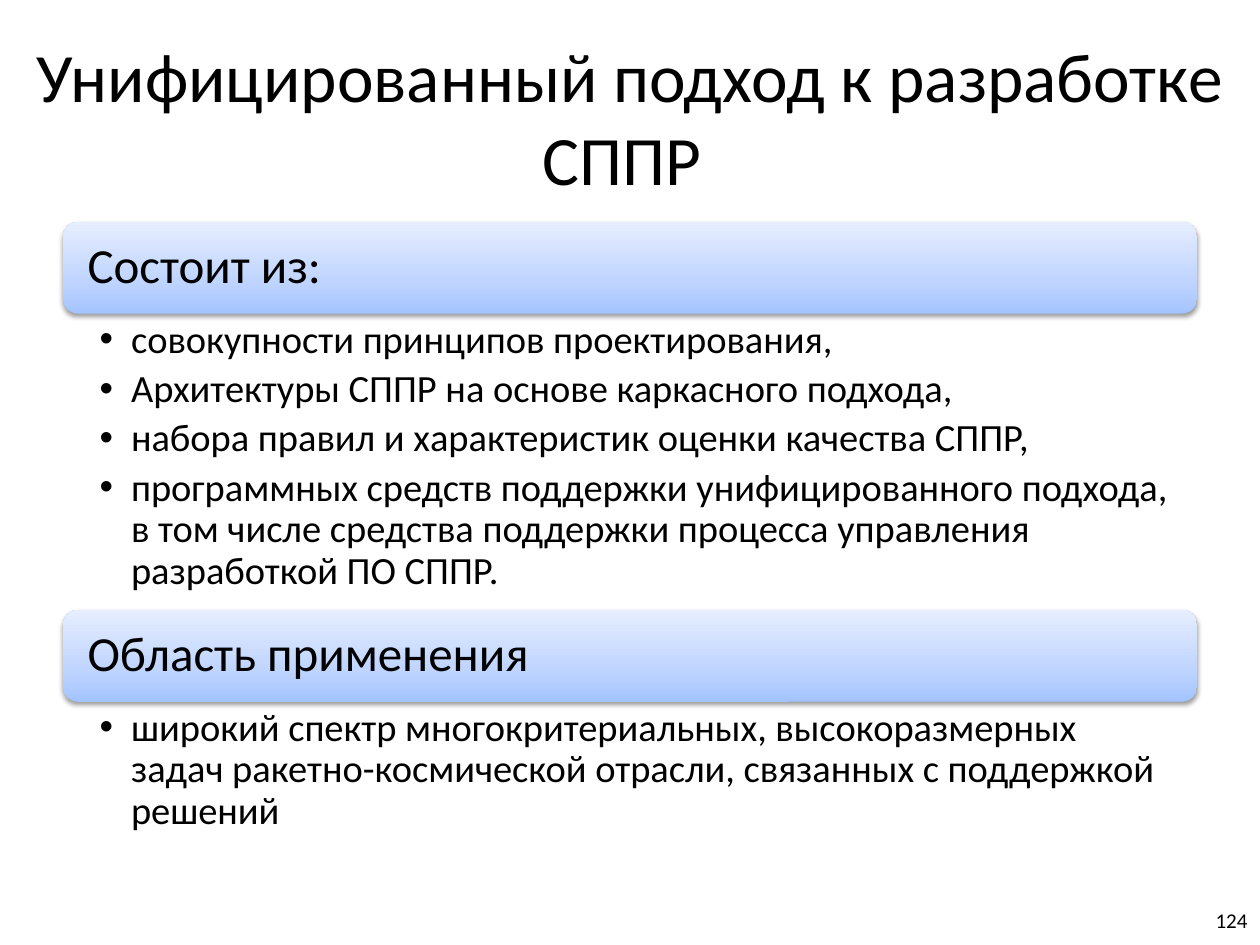
from copy import deepcopy

from lxml import etree
from pptx import Presentation
from pptx.dml.color import RGBColor
from pptx.enum.shapes import MSO_SHAPE
from pptx.enum.text import MSO_ANCHOR, MSO_AUTO_SIZE, PP_ALIGN
from pptx.oxml.ns import qn
from pptx.util import Inches, Pt

ROUND = MSO_SHAPE.ROUNDED_RECTANGLE
MIDDLE, TOP = MSO_ANCHOR.MIDDLE, MSO_ANCHOR.TOP
LEFT, CENTER, RIGHT = PP_ALIGN.LEFT, PP_ALIGN.CENTER, PP_ALIGN.RIGHT
FIXED = MSO_AUTO_SIZE.NONE

BLACK = RGBColor(0x00, 0x00, 0x00)
STOPS = [
    (0, RGBColor(0xA4, 0xC4, 0xFF)),
    (0.35, RGBColor(0xBF, 0xD4, 0xFF)),
    (1, RGBColor(0xE6, 0xEE, 0xFF)),
]
FONT = "Calibri"
EDGE, WIDTH, BAR = 0.5, 9, 0.73

TITLE = "Унифицированный подход к разработке СППР "
# Heading, bar top, list height, list items
PARTS = [
    ("Состоит из:", 1.76, 2.35, [
        "совокупности принципов проектирования,",
        "Архитектуры СППР на основе каркасного подхода,",
        "набора правил и характеристик оценки качества СППР,",
        "программных средств поддержки унифицированного подхода, "
        "в том числе средства поддержки процесса управления "
        "разработкой ПО СППР.",
    ]),
    ("Область применения", 4.84, 1.11, [
        "широкий спектр многокритериальных, высокоразмерных задач "
        "ракетно-космической отрасли, связанных с поддержкой решений",
    ]),
]


def place(shape, left, top, width, height):
    shape.left, shape.top = Inches(left), Inches(top)
    shape.width, shape.height = Inches(width), Inches(height)


def style(frame, size, align, anchor):
    frame.word_wrap = True
    frame.auto_size = FIXED
    frame.vertical_anchor = anchor
    for para in frame.paragraphs:
        para.alignment = align
        for run in para.runs:
            run.font.size = Pt(size)
            run.font.name = FONT
            run.font.color.rgb = BLACK


def inset(frame, left, top, right, bottom):
    frame.margin_left, frame.margin_top = Inches(left), Inches(top)
    frame.margin_right, frame.margin_bottom = Inches(right), Inches(bottom)


def shade(shape):
    """Fill with the three-stop gradient, darkest at the bottom."""
    fill = shape.fill
    fill.gradient()
    fill.gradient_angle = 90
    stops = shape._element.spPr.find(".//" + qn("a:gsLst"))
    stops.insert(1, deepcopy(stops[0]))
    for stop, (pos, color) in zip(fill.gradient_stops, STOPS):
        stop.position = pos
        stop.color.rgb = color


def cast(shape):
    """Add a soft shadow below the shape."""
    shape.shadow.inherit = False
    effects = shape._element.spPr.find(qn("a:effectLst"))
    outer = etree.SubElement(
        effects, qn("a:outerShdw"), blurRad=str(Pt(3.1)),
        dist=str(Pt(1.6)), dir="5400000", rotWithShape="0")
    color = etree.SubElement(outer, qn("a:srgbClr"), val="000000")
    etree.SubElement(color, qn("a:alpha"), val="38000")


def add_bar(slide, text, top):
    bar = slide.shapes.add_shape(
        ROUND, Inches(EDGE), Inches(top), Inches(WIDTH), Inches(BAR))
    shade(bar)
    bar.line.fill.background()
    cast(bar)
    frame = bar.text_frame
    frame.text = text
    inset(frame, 0.16, 0.12, 0.16, 0.12)
    style(frame, 28, LEFT, MIDDLE)
    frame.paragraphs[0].line_spacing = 0.9


def fill_list(holder, items, top, height):
    place(holder, EDGE, top, WIDTH, height)
    frame = holder.text_frame
    frame.text = "\n".join(items)
    inset(frame, 0.29, 0.04, 0.22, 0.04)
    for para in frame.paragraphs:
        props = para._p.get_or_add_pPr()
        props.set("marL", str(Inches(0.25)))
        props.set("indent", str(Inches(-0.25)))
        etree.SubElement(props, qn("a:buChar"), char="•")
        para.line_spacing = 0.9
        para.space_before = Pt(0)
        para.space_after = Pt(4.4)
    style(frame, 22, LEFT, TOP)


def add_number(slide, text):
    box = slide.shapes.add_textbox(
        Inches(7.67), Inches(7.1), Inches(2.33), Inches(0.4))
    box.text_frame.text = text
    style(box.text_frame, 12, RIGHT, MIDDLE)


def main():
    deck = Presentation()
    deck.slide_width, deck.slide_height = Inches(10), Inches(7.5)
    slide = deck.slides.add_slide(deck.slide_layouts[3])

    # Title
    title = slide.shapes.title
    place(title, 0, 0.3, 10, 1.25)
    title.text_frame.text = TITLE
    style(title.text_frame, 39.6, CENTER, MIDDLE)

    # Heading bars, each with its list below
    for idx, (head, top, height, items) in enumerate(PARTS, 1):
        add_bar(slide, head, top)
        fill_list(slide.placeholders[idx], items, top + BAR + 0.01, height)

    # Slide number
    add_number(slide, "124")
    deck.save("out.pptx")


if __name__ == "__main__":
    main()
